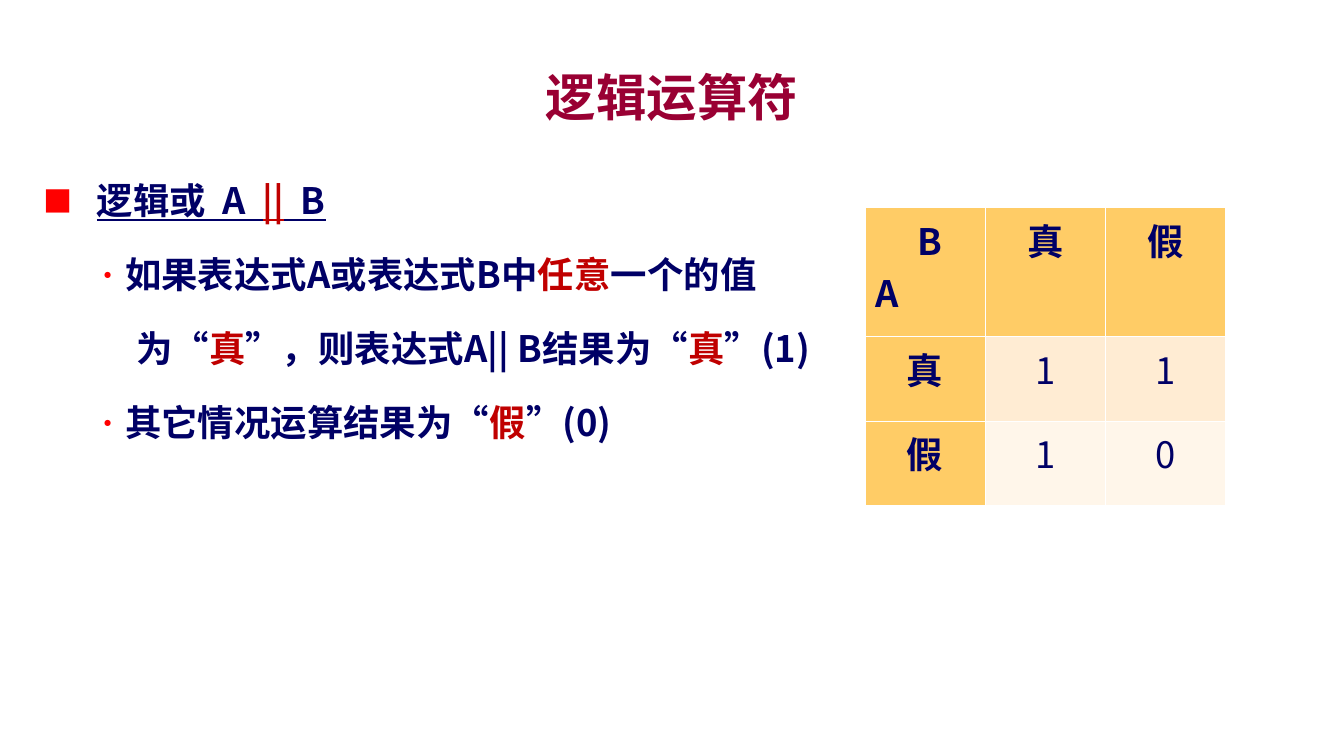
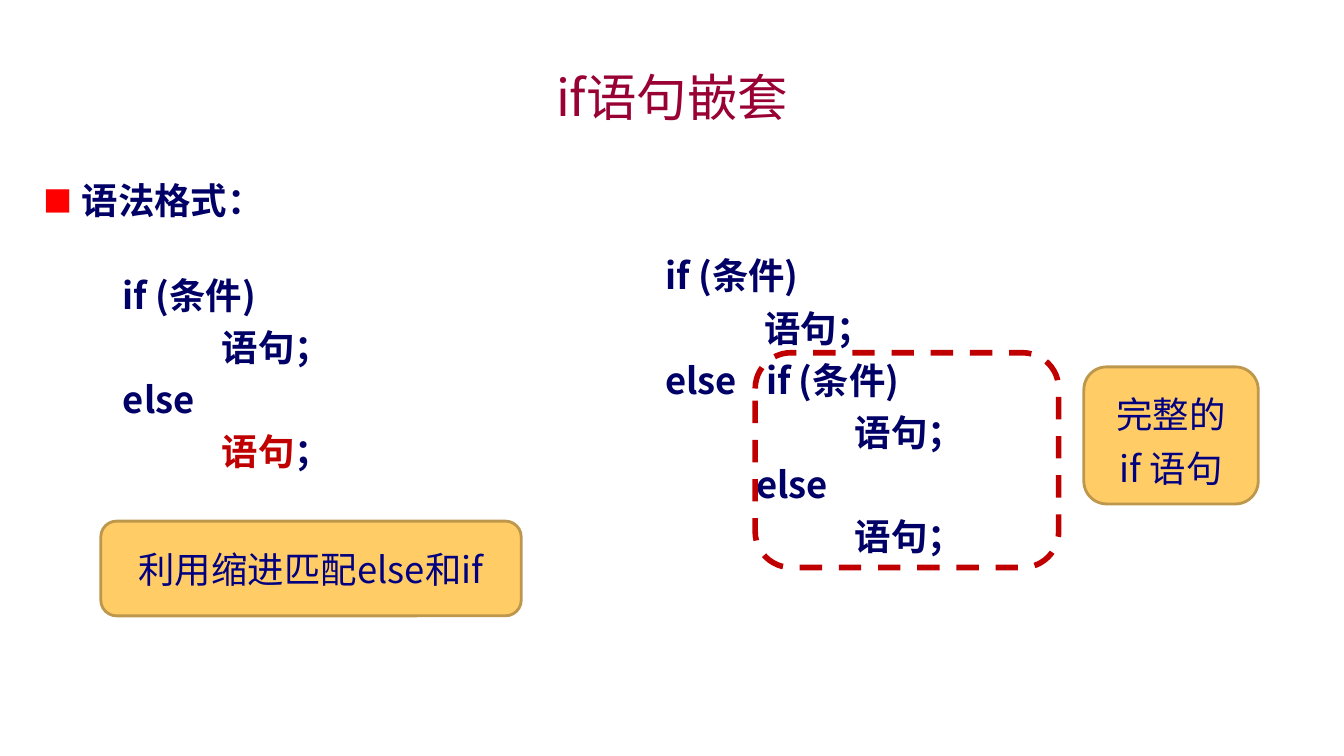
from lxml.etree import SubElement
from pptx import Presentation
from pptx.dml.color import RGBColor
from pptx.enum.dml import MSO_LINE
from pptx.enum.shapes import MSO_SHAPE
from pptx.enum.text import MSO_ANCHOR, MSO_AUTO_SIZE, PP_ALIGN
from pptx.oxml.ns import qn
from pptx.util import Inches, Pt

FONT = "Noto Sans CJK SC"
SIZE = 26
COLORS = {
    "title": "990033", "text": "000066", "label": "000080",
    "key": "C00000", "bullet": "FF0000", "gold": "FFCC66",
    "edge": "BD974B", "odd": "FFECD3", "even": "FFF6EA",
}
BODY = (0.33, 1.5, 12.67, 5.67)


def color(name):
    return RGBColor.from_string(COLORS[name])


def place(shape, box):
    shape.left, shape.top, shape.width, shape.height = map(Inches, box)


def write(para, text, size=SIZE, tone="text", bold=True, line=False):
    for order, part in enumerate(text.split("*")):
        if not part:
            continue
        run = para.add_run()
        run.text = part
        font = run.font
        font.name, font.size, font.bold = FONT, Pt(size), bold
        font.underline = line
        font.color.rgb = color("key" if order % 2 else tone)
        SubElement(run.font._element, qn("a:ea"), typeface=FONT)


def indent(para, left, hang=0):
    props = para._p.get_or_add_pPr()
    props.set("marL", str(Inches(left)))
    props.set("indent", str(-Inches(hang)))
    return props


def mark(props, char):
    if not char:
        SubElement(props, qn("a:buNone"))
        return
    tint = SubElement(props, qn("a:buClr"))
    SubElement(tint, qn("a:srgbClr"), val=COLORS["bullet"])
    SubElement(props, qn("a:buSzPct"), val="80000")
    SubElement(props, qn("a:buFont"), typeface=FONT)
    SubElement(props, qn("a:buChar"), char=char)


def lines(frame, count):
    yield frame.paragraphs[0]
    for _ in range(count - 1):
        yield frame.add_paragraph()


def start(deck, title, bold):
    slide = deck.slides.add_slide(deck.slide_layouts[1])
    head = slide.shapes.title
    place(head, (1, 0.58, 11.33, 0.75))
    frame = head.text_frame
    frame.vertical_anchor = MSO_ANCHOR.MIDDLE
    frame.auto_size = MSO_AUTO_SIZE.NONE
    para = frame.paragraphs[0]
    para.alignment = PP_ALIGN.CENTER
    write(para, title, 36, "title", bold)
    return slide


def fill_body(slide, items):
    body = slide.placeholders[1]
    place(body, BODY)
    frame = body.text_frame
    frame.auto_size = MSO_AUTO_SIZE.NONE
    for para, item in zip(lines(frame, len(items)), items):
        text, level, left, hang, char, line = item
        para.level = level
        para.line_spacing, para.space_before = 1.5, Pt(6)
        mark(indent(para, left, hang), char)
        write(para, text, line=line)


def add_code(slide, box, rows):
    area = slide.shapes.add_textbox(*map(Inches, box))
    frame = area.text_frame
    frame.word_wrap = True
    for order, para in enumerate(lines(frame, len(rows))):
        text, left, stop = rows[order]
        para.space_before = Pt(6)
        if order == 0:
            para.line_spacing = 1.5
        props = indent(para, left)
        if stop:
            tabs = SubElement(props, qn("a:tabLst"))
            SubElement(tabs, qn("a:tab"), pos=str(Inches(stop)), algn="l")
        write(para, text)


def add_round(slide, box, edge, width):
    shape = slide.shapes.add_shape(
        MSO_SHAPE.ROUNDED_RECTANGLE, *map(Inches, box))
    shape.shadow.inherit = False
    shape.fill.background()
    shape.line.color.rgb = color(edge)
    shape.line.width = Pt(width)
    return shape


def add_label(slide, box, rows, space=None):
    shape = add_round(slide, box, "edge", 2)
    shape.fill.solid()
    shape.fill.fore_color.rgb = color("gold")
    frame = shape.text_frame
    frame.word_wrap = True
    frame.vertical_anchor = MSO_ANCHOR.MIDDLE
    for para, text in zip(lines(frame, len(rows)), rows):
        para.alignment = PP_ALIGN.CENTER
        para.line_spacing = space
        write(para, text, tone="label", bold=False)


def add_truth(slide, box, rows):
    grid = slide.shapes.add_table(3, 3, *map(Inches, box)).table
    for row, high in zip(grid.rows, (1.28, 0.84, 0.84)):
        row.height = Inches(high)
    for r, row in enumerate(rows):
        for c, text in enumerate(row):
            cell = grid.cell(r, c)
            head = r == 0 or c == 0
            tone = "gold" if head else "odd" if r % 2 else "even"
            cell.fill.solid()
            cell.fill.fore_color.rgb = color(tone)
            if r == c == 0:
                top, low = lines(cell.text_frame, 2)
                indent(top, 0.42)
                write(top, text[0])
                write(low, text[1])
            else:
                para = cell.text_frame.paragraphs[0]
                para.alignment = PP_ALIGN.CENTER
                write(para, text, bold=head)


def logic_slide(deck):
    slide = start(deck, "逻辑运算符", True)
    fill_body(slide, [
        ("逻辑或  A  *||*  B", 0, 0.53, 0.53, "■", True),
        ("如果表达式A或表达式B中*任意*一个的值", 1, 0.81, 0.31, "•", False),
        ("为“*真*”，则表达式A|| B结果为“*真*”(1)", 1, 0.92, 0, "", False),
        ("其它情况运算结果为“*假*”(0)", 1, 0.81, 0.31, "•", False),
    ])
    add_truth(slide, (8.58, 2.06, 3.58, 2.96), [
        ("BA", "真", "假"), ("真", "1", "1"), ("假", "1", "0")])


def nest_slide(deck):
    slide = start(deck, "if语句嵌套", False)
    fill_body(slide, [("语法格式：", 0, 0.38, 0.38, "■", False)])
    add_code(slide, (6.5, 2.25, 5.58, 3.66), [
        ("if (条件)", 0, 0),
        ("语句；", 0.98, 0),
        ("else\tif (条件)", 0, 1.04),
        ("语句；", 1.88, 0),
        ("else", 0.9, 0),
        ("语句；", 1.88, 0),
    ])
    add_code(slide, (1.12, 2.44, 5.58, 3.66), [
        ("if (条件)", 0, 0),
        ("语句；", 0.98, 0),
        ("else", 0, 0),
        ("*语句*；", 0.98, 0),
    ])
    frame = add_round(slide, (7.49, 3.5, 3.01, 2.13), "key", 4)
    frame.line.dash_style = MSO_LINE.DASH
    add_label(slide, (10.75, 3.64, 1.73, 1.36), ["完整的", "if 语句"], 1.25)
    add_label(slide, (1, 5.17, 4.17, 0.94), ["利用缩进匹配else和if"])


def main():
    deck = Presentation()
    deck.slide_width, deck.slide_height = Inches(13.33), Inches(7.5)
    logic_slide(deck)
    nest_slide(deck)
    deck.save("out.pptx")


if __name__ == "__main__":
    main()
